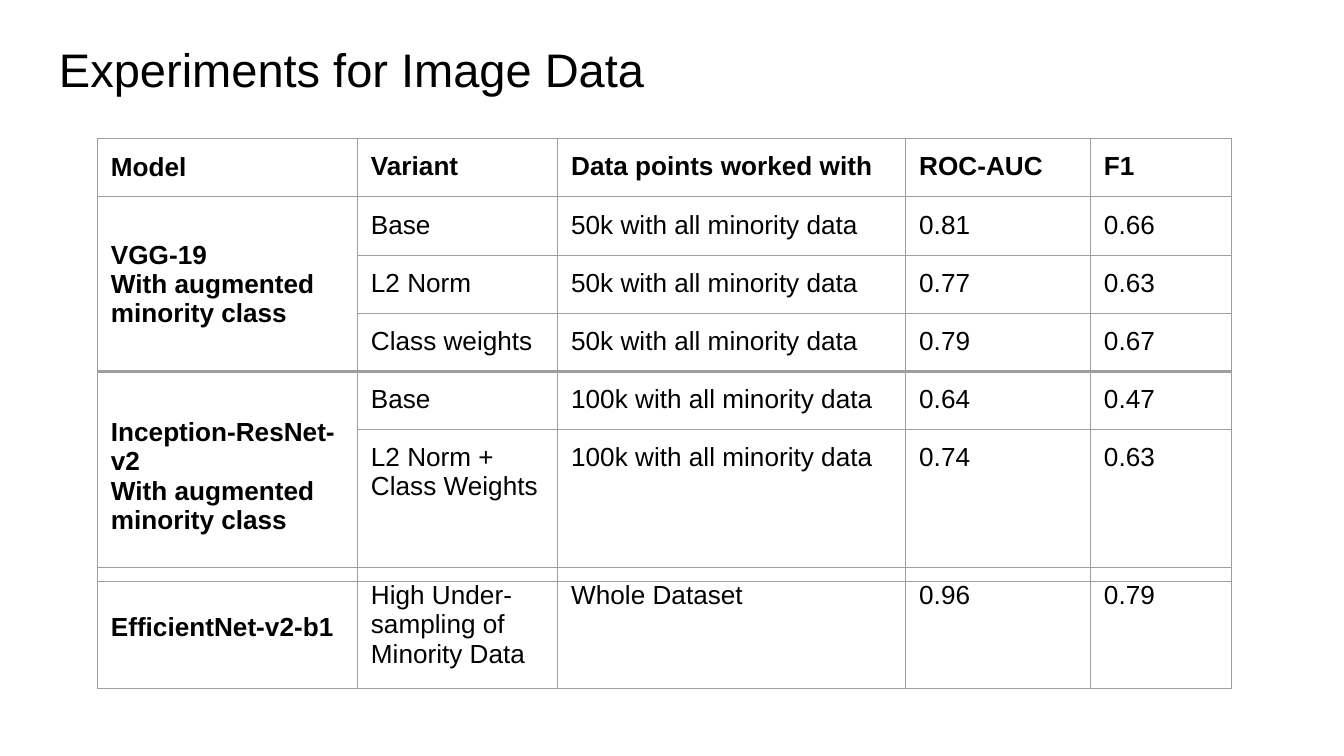
from dataclasses import dataclass

from lxml.etree import SubElement
from pptx import Presentation
from pptx.dml.color import RGBColor
from pptx.enum.text import MSO_ANCHOR
from pptx.oxml.ns import qn
from pptx.util import Emu, Pt

EMU_PER_PX = 4572
COLORS = {"text": "000000", "border": "9E9E9E"}
FONT = "Arial"
INSET = 20
TABLE_LEFT = 145
FRAME_SIZE = 656
COLUMN_WIDTHS = [387, 298, 518, 275, 210]


@dataclass
class ModelGroup:
    model: str
    results: list[list[str]]


@dataclass
class ResultTable:
    top: int
    row_heights: list[int]
    groups: list[ModelGroup]
    has_header: bool = False


AUGMENTED = "With augmented minority class"
TABLES = [
    ResultTable(206, [87] * 4, [
        ModelGroup("Model", [["Variant", "Data points worked with", "ROC-AUC", "F1"]]),
        ModelGroup(f"VGG-19\n{AUGMENTED}", [
            ["Base", "50k with all minority data", "0.81", "0.66"],
            ["L2 Norm", "50k with all minority data", "0.77", "0.63"],
            ["Class weights", "50k with all minority data", "0.79", "0.67"],
        ]),
    ], has_header=True),
    ResultTable(552, [22, 87], [
        ModelGroup(f"Inception-ResNet-v2\n{AUGMENTED}", [
            ["Base", "100k with all minority data", "0.64", "0.47"],
            ["L2 Norm + Class Weights", "100k with all minority data", "0.74", "0.63"],
        ]),
    ]),
    ResultTable(844, [22], [
        ModelGroup("EfficientNet-v2-b1", [
            ["High Under- sampling of Minority Data", "Whole Dataset", "0.96", "0.79"],
        ]),
    ]),
]


def px(length: int) -> Emu:
    return Emu(length * EMU_PER_PX)


def write_text(frame, text: str, *, size: float = 14, bold: bool = False) -> None:
    frame.word_wrap = True
    for index, line in enumerate(text.split("\n")):
        para = frame.add_paragraph() if index else frame.paragraphs[0]
        span = para.add_run()
        span.text = line
        span.font.name = FONT
        span.font.size = Pt(size)
        span.font.bold = bold
        span.font.color.rgb = RGBColor.from_string(COLORS["text"])


def set_margins(target) -> None:
    target.margin_left = target.margin_right = px(INSET)
    target.margin_top = target.margin_bottom = px(INSET)


def style_cell(cell) -> None:
    set_margins(cell)
    properties = cell._tc.get_or_add_tcPr()
    for side in ("a:lnL", "a:lnR", "a:lnT", "a:lnB"):
        line = SubElement(properties, qn(side), w=str(Pt(0.75)))
        fill = SubElement(line, qn("a:solidFill"))
        SubElement(fill, qn("a:srgbClr"), val=COLORS["border"])
    cell.fill.background()


def draw_title(page, text: str) -> None:
    box = page.shapes.add_textbox(px(68), px(39), px(1864), px(126))
    set_margins(box.text_frame)
    box.text_frame.vertical_anchor = MSO_ANCHOR.BOTTOM
    write_text(box.text_frame, text, size=25.2)


def draw_table(page, layout: ResultTable) -> None:
    heights = layout.row_heights
    holder = page.shapes.add_table(
        len(heights), len(COLUMN_WIDTHS), px(TABLE_LEFT), px(layout.top),
        px(FRAME_SIZE), px(FRAME_SIZE),
    )
    table = holder.table
    table.first_row = table.horz_banding = False
    for column, width in zip(table.columns, COLUMN_WIDTHS):
        column.width = px(width)
    for row, height in zip(table.rows, heights):
        row.height = px(height)
    holder.width = holder.height = px(FRAME_SIZE)
    for cell in table.iter_cells():
        style_cell(cell)

    row_index = 0
    for group in layout.groups:
        model_cell = table.cell(row_index, 0)
        last_row = row_index + len(group.results) - 1
        if last_row > row_index:
            model_cell.merge(table.cell(last_row, 0))
        model_cell.vertical_anchor = MSO_ANCHOR.MIDDLE
        write_text(model_cell.text_frame, group.model, bold=True)
        for values in group.results:
            is_header = layout.has_header and row_index == 0
            for column_index, value in enumerate(values, start=1):
                cell = table.cell(row_index, column_index)
                write_text(cell.text_frame, value, bold=is_header)
            row_index += 1


def main() -> None:
    deck = Presentation()
    deck.slide_width, deck.slide_height = px(2000), px(1125)
    page = deck.slides.add_slide(deck.slide_layouts[6])
    draw_title(page, "Experiments for Image Data")
    for layout in TABLES:
        draw_table(page, layout)
    deck.save("out.pptx")


if __name__ == "__main__":
    main()
